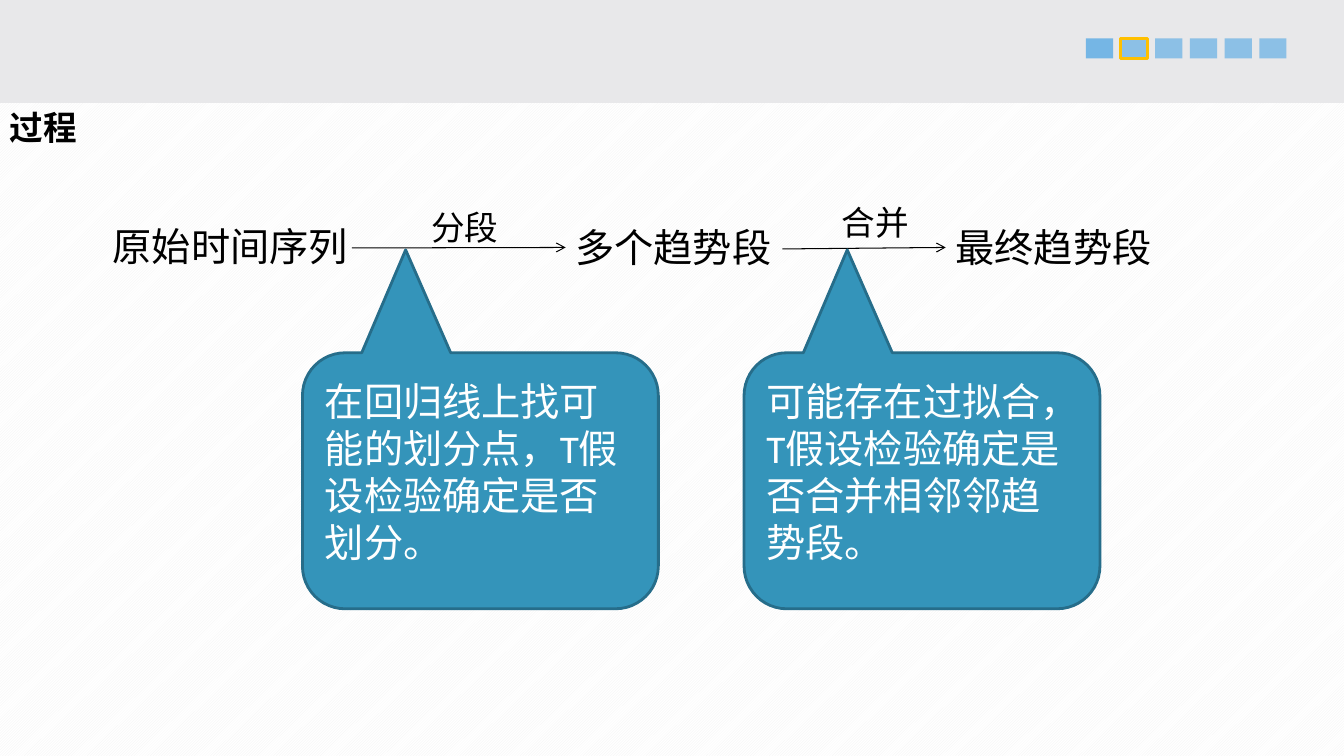
from lxml import etree
from pptx import Presentation
from pptx.dml.color import RGBColor
from pptx.enum import dml, shapes, text
from pptx.oxml.ns import qn
from pptx.util import Inches, Pt

CJK = "Noto Sans CJK SC"


def color(hex_value):
    return RGBColor.from_string(hex_value)


def write(sp, content, size, **font):
    """Put one left-aligned run into a shape, with a CJK fallback font."""
    p = sp.text_frame.paragraphs[0]
    p.alignment = text.PP_ALIGN.LEFT
    r = p.add_run()
    r.text = content
    r.font.color.rgb = color(font.pop("hex_value", "000000"))
    for key, value in {"name": "Calibri", "size": Pt(size), **font}.items():
        setattr(r.font, key, value)
    etree.SubElement(r.font._element, qn("a:ea"), typeface=CJK)


prs = Presentation()
prs.slide_width, prs.slide_height = Inches(13.33), Inches(7.5)
s = prs.slides.add_slide(prs.slide_layouts[6])

# Striped background and header band
bg = s.background.fill
bg.patterned()
bg.pattern = dml.MSO_PATTERN.LIGHT_UPWARD_DIAGONAL
bg.fore_color.rgb = color("F2F2F2")
bg.back_color.rgb = color("FFFFFF")
band = s.shapes.add_shape(shapes.MSO_SHAPE.RECTANGLE, 0, 0, prs.slide_width, Inches(1.02))
band.shadow.inherit = False
band.fill.solid()
band.fill.fore_color.rgb = color("E8E8EA")
band.line.fill.background()

# Section markers: the first is solid, the second is the current one
for i in range(6):
    marker = s.shapes.add_shape(shapes.MSO_SHAPE.RECTANGLE, Inches(10.77 + i * 0.344),
                                Inches(0.38), Inches(0.27), Inches(0.2))
    marker.shadow.inherit = False
    marker.fill.solid()
    marker.fill.fore_color.rgb = color("75B6E5")
    if i > 0:
        srgb = marker.fill._xPr.find(".//" + qn("a:srgbClr"))
        etree.SubElement(srgb, qn("a:alpha"), val="80000")
    if i == 1:
        marker.line.color.rgb = color("FFC000")
        marker.line.width = Pt(2)
    else:
        marker.line.fill.background()

# Heading, process stages and step labels
labels = [
    ("过程", 0, 1.01, 11.39, 0.5, 24, True, {"bold": True, "name": CJK}),
    ("原始时间序列", 1.02, 2.16, 2.53, 0.57, 28, False, {}),
    ("多个趋势段", 5.61, 2.17, 2.14, 0.57, 28, False, {}),
    ("最终趋势段", 9.38, 2.17, 2.32, 0.57, 28, True, {}),
    ("分段", 4.18, 2, 0.87, 0.5, 24, False, {}),
    ("合并", 8.25, 1.95, 0.87, 0.5, 24, False, {}),
]
boxes = {}
for content, x, y, w, h, size, wrap, font in labels:
    box = s.shapes.add_textbox(Inches(x), Inches(y), Inches(w), Inches(h))
    box.text_frame.word_wrap = wrap
    box.text_frame.auto_size = text.MSO_AUTO_SIZE.SHAPE_TO_FIT_TEXT
    write(box, content, size, **font)
    boxes[content] = box

# Arrows into the next stage
for x, y, target in [(3.49, 2.46, "多个趋势段"), (7.76, 2.47, "最终趋势段")]:
    arrow = s.shapes.add_connector(shapes.MSO_CONNECTOR.STRAIGHT, Inches(x), Inches(y),
                                   Inches(x), Inches(y))
    arrow.end_connect(boxes[target], 1)
    arrow.line.color.rgb = color("000000")
    arrow.line.width = Pt(0.75)
    etree.SubElement(arrow.line._get_or_add_ln(), qn("a:tailEnd"), type="arrow")
    etree.SubElement(arrow._element.spPr, qn("a:effectLst"))

# Explanations pointing at the arrows
callouts = [
    (3, "在回归线上找可能的划分点，T假设检验确定是否划分。"),
    (7.38, "可能存在过拟合，T假设检验确定是否合并相邻邻趋势段。"),
]
for x, content in callouts:
    callout = s.shapes.add_shape(shapes.MSO_SHAPE.ROUNDED_RECTANGULAR_CALLOUT, Inches(x),
                                 Inches(3.5), Inches(3.53), Inches(2.54))
    for i, value in enumerate((-0.21, -0.902, 0.167)):
        callout.adjustments[i] = value
    callout.shadow.inherit = False
    callout.fill.solid()
    callout.fill.fore_color.rgb = color("3494BA")
    callout.line.color.rgb = color("266D8A")
    callout.line.width = Pt(2)
    tf = callout.text_frame
    tf.word_wrap = True
    tf.vertical_anchor = text.MSO_ANCHOR.MIDDLE
    tf.margin_bottom = Inches(0.24)
    write(callout, content, 28, hex_value="FFFFFF")

prs.save("out.pptx")
